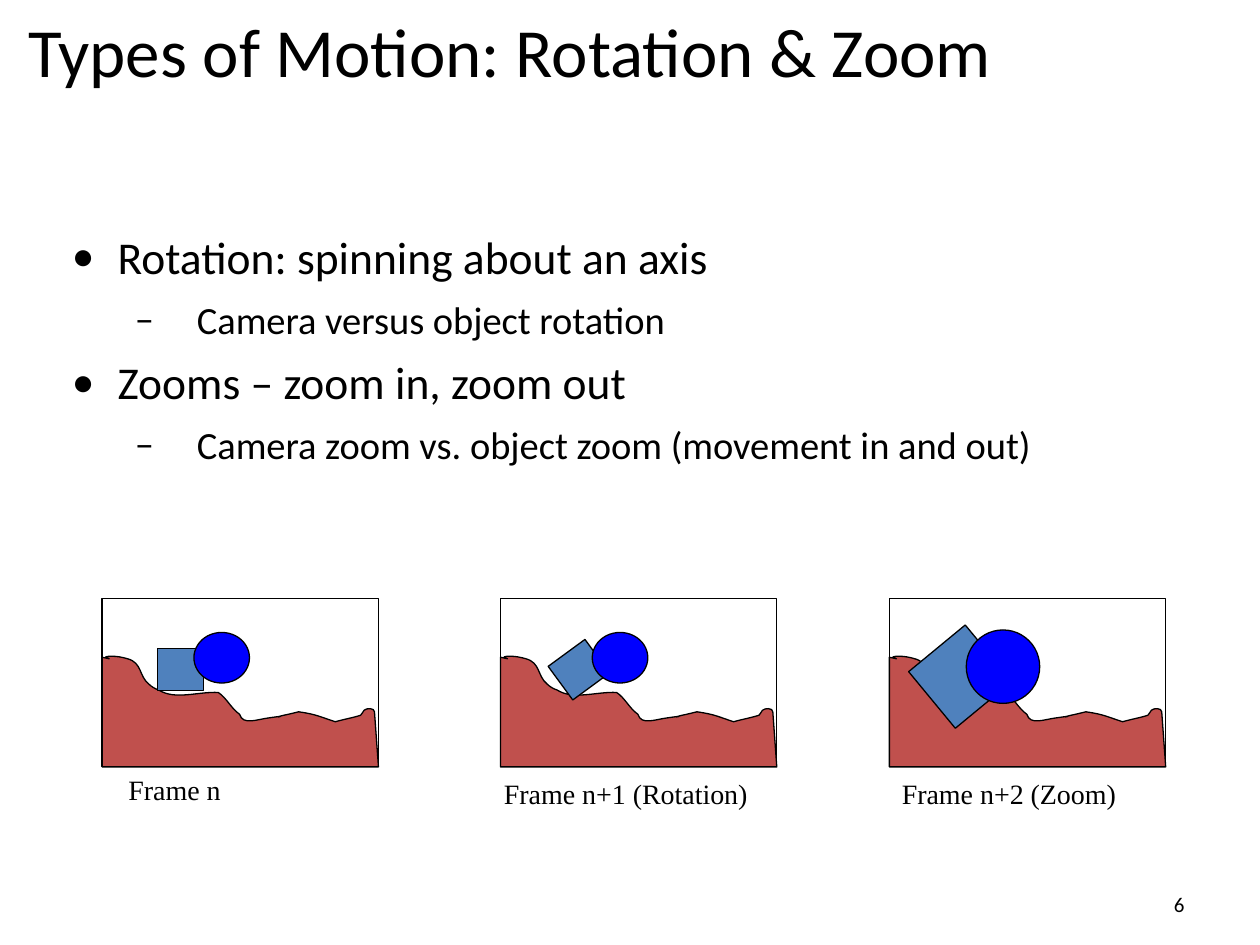
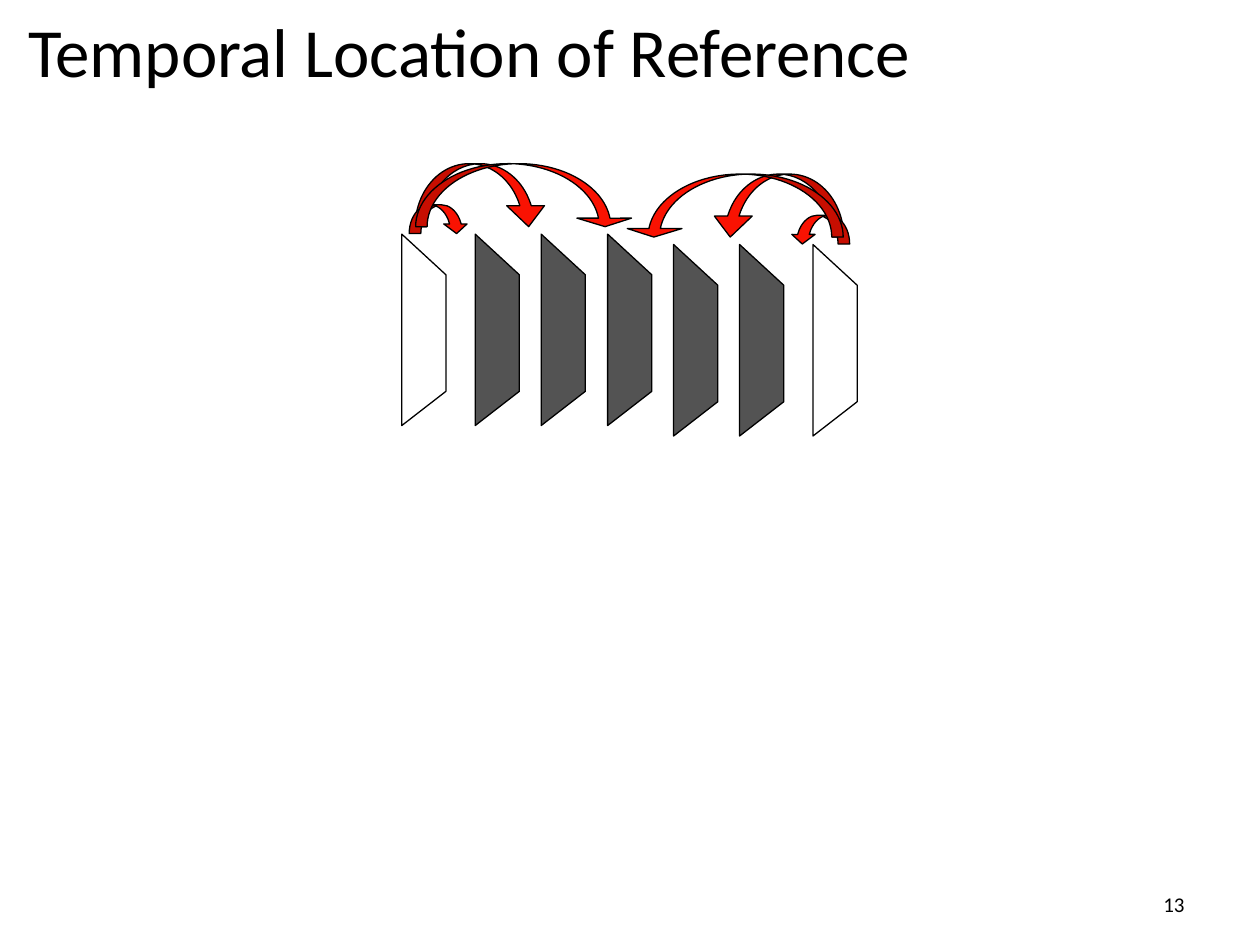
from itertools import chain

from lxml import etree
from pptx import Presentation
from pptx.dml.color import RGBColor
from pptx.enum.shapes import MSO_SHAPE
from pptx.enum.text import MSO_ANCHOR, PP_ALIGN
from pptx.oxml.ns import qn
from pptx.util import Cm, Pt

RECTANGLE, OVAL = MSO_SHAPE.RECTANGLE, MSO_SHAPE.OVAL
CURVED_ARROW = MSO_SHAPE.CURVED_DOWN_ARROW
TOP, MIDDLE, BOTTOM = MSO_ANCHOR.TOP, MSO_ANCHOR.MIDDLE, MSO_ANCHOR.BOTTOM
LEFT, RIGHT = PP_ALIGN.LEFT, PP_ALIGN.RIGHT

COLORS = {
    "text": "000000",
    "outline": "000000",
    "ground": "C0504D",
    "block": "4F81BD",
    "ball": "0000FF",
    "panel": "535353",
    "arrow": "F91202",
}
BODY_FONT, CAPTION_FONT = "Calibri", "Times New Roman"
BODY_INSET = 0.18

BULLETS = [
    (0, "Rotation: spinning about an axis"),
    (1, "Camera versus object rotation"),
    (0, "Zooms – zoom in, zoom out"),
    (1, "Camera zoom vs. object zoom (movement in and out)"),
]
BULLET_LEVELS = [("•", 26, 0.92, -0.92), ("–", 22, 2.52, -1.25)]

FRAME_WIDTH, FRAME_HEIGHT = 5.57, 3.4
FRAME_TOP = 12.06
GROUND_START = [(0, FRAME_HEIGHT), (0, 1.19)]
GROUND_CURVES = [
    ((0.38, 1.27), (-0.15, 1.17), (0.2, 1.17)),
    ((0.3, 1.17), (0.41, 1.19), (0.51, 1.22)),
    ((0.81, 1.3), (0.74, 1.57), (0.94, 1.73)),
    ((0.99, 1.78), (1.07, 1.83), (1.14, 1.85)),
    ((1.47, 2.06), (1.93, 1.88), (2.34, 1.9)),
    ((2.51, 2.01), (2.59, 2.21), (2.77, 2.34)),
    ((2.84, 2.57), (3.12, 2.44), (3.38, 2.41)),
    ((3.86, 2.34), (3.33, 2.44), (3.66, 2.36)),
    ((3.76, 2.34), (3.96, 2.29), (3.96, 2.29)),
    ((4.32, 2.34), (4.39, 2.39), (4.7, 2.49)),
    ((4.88, 2.44), (5.05, 2.41), (5.21, 2.36)),
    ((5.23, 2.34), (5.26, 2.29), (5.28, 2.26)),
    ((5.33, 2.21), (5.49, 2.21), (5.49, 2.29)),
]
GROUND_END = [(FRAME_WIDTH, FRAME_HEIGHT), (0, FRAME_HEIGHT)]

SMALL_BLOCK, SMALL_BALL = (1.12, 1.02, 0.92, 0.84), (1.85, 0.69, 1.12, 1.02)
LARGE_BLOCK, LARGE_BALL = (0.69, 0.84, 1.48, 1.48), (1.55, 0.64, 1.48, 1.48)
FRAMES = [
    (2.06, SMALL_BLOCK, 0, SMALL_BALL, "Frame n", (0.28, 3.38, 5.21, 0.99)),
    (10.09, SMALL_BLOCK, 323.8, SMALL_BALL, "Frame n+1 (Rotation)",
     (-0.18, 3.46, 5.56, 0.99)),
    (17.93, LARGE_BLOCK, 320.5, LARGE_BALL, "Frame n+2 (Zoom)",
     (0, 3.46, 5.16, 0.99)),
]

PANEL_WIDTH = 0.89
PANEL_OUTLINE = [(0, 0.46), (0, 3.86), (PANEL_WIDTH, 3.17),
                 (PANEL_WIDTH, 0.82), (0, 0), (0, 0.82)]
PANEL_OFFSETS = [0, 1.48, 2.81, 4.15]
REFERENCE_ARROWS = [
    (0.27, 1.42, 2.67, 1.27, (0.181, 0.601, 0.333)),
    (0.15, 0.59, 1.19, 0.58, (0.405, 0.809, 0.333)),
    (0.28, 1.42, 4.37, 1.27, (0.182, 0.868, 0.135)),
]


def rgb(color):
    """Return the named palette colour."""
    return RGBColor.from_string(COLORS[color])


def style_shape(shape, fill=None):
    """Give a shape the thin outline and an optional fill."""
    shape.shadow.inherit = False
    shape.line.color.rgb = rgb("outline")
    shape.line.width = Pt(0.75)
    if fill:
        shape.fill.solid()
        shape.fill.fore_color.rgb = rgb(fill)
    else:
        shape.fill.background()
    return shape


def add_outlined(slide, kind, box, fill=None):
    """Add a preset shape in a box given in centimetres."""
    return style_shape(slide.shapes.add_shape(kind, *map(Cm, box)), fill)


def add_outline(slide, left, top, points, fill=None, close=False):
    """Add a freeform whose points are relative to left and top."""
    corners = [(Cm(left + x), Cm(top + y)) for x, y in points]
    builder = slide.shapes.build_freeform(*corners[0], scale=1.0)
    builder.add_line_segments(corners[1:], close=close)
    return style_shape(builder.convert_to_shape(), fill)


def add_ground(slide, left, top):
    """Add the hilly ground, joining each three curve points into a Bézier."""
    points = GROUND_START + list(chain.from_iterable(GROUND_CURVES)) + GROUND_END
    ground = add_outline(slide, left, top, points, "ground", close=True)
    segments = list(ground.element.iter(qn("a:lnTo")))
    first = len(GROUND_START) - 1
    for start in range(first, first + 3 * len(GROUND_CURVES), 3):
        curve = etree.Element(qn("a:cubicBezTo"))
        segments[start].addprevious(curve)
        for segment in segments[start:start + 3]:
            curve.append(segment[0])
            segment.getparent().remove(segment)


def add_text_frame(slide, box, anchor=TOP, inset=None):
    """Add a wrapping text box and return its text frame."""
    frame = slide.shapes.add_textbox(*map(Cm, box)).text_frame
    frame.word_wrap = True
    frame.vertical_anchor = anchor
    if inset is not None:
        frame.margin_left = frame.margin_right = Cm(inset)
        frame.margin_top = frame.margin_bottom = Cm(inset)
    return frame


def add_run(paragraph, text, size, font=BODY_FONT, align=LEFT):
    """Add one styled run to a paragraph."""
    paragraph.alignment = align
    run = paragraph.add_run()
    run.text = text
    run.font.size = Pt(size)
    run.font.name = font
    run.font.color.rgb = rgb("text")


def add_titled_slide(deck, title, number):
    """Add a blank slide with its title and page number."""
    slide = deck.slides.add_slide(deck.slide_layouts[6])
    number_frame = add_text_frame(slide, (18.21, 17.34, 5.92, 1.27), BOTTOM)
    add_run(number_frame.paragraphs[0], number, 12, align=RIGHT)
    title_frame = add_text_frame(slide, (0.39, 0, 22.86, 2.03), MIDDLE, BODY_INSET)
    add_run(title_frame.paragraphs[0], title, 39.4)
    return slide


def add_bullets(slide, box):
    """Add the two-level list of motion types."""
    frame = add_text_frame(slide, box, inset=BODY_INSET)
    for index, (level, text) in enumerate(BULLETS):
        mark, size, margin, indent = BULLET_LEVELS[level]
        paragraph = frame.add_paragraph() if index else frame.paragraphs[0]
        paragraph.level = level
        properties = paragraph._p.get_or_add_pPr()
        properties.set("marL", str(Cm(margin)))
        properties.set("indent", str(Cm(indent)))
        etree.SubElement(properties, qn("a:buFont")).set("typeface", BODY_FONT)
        etree.SubElement(properties, qn("a:buChar")).set("char", mark)
        if index:
            paragraph.space_before = Pt(7)
        add_run(paragraph, text, size)


def add_video_frame(slide, left, top, block, angle, ball, caption, caption_box):
    """Draw one video frame with its ground, block, ball and caption."""
    def place(box):
        return left + box[0], top + box[1], box[2], box[3]

    add_outlined(slide, RECTANGLE, (left, top, FRAME_WIDTH, FRAME_HEIGHT))
    add_ground(slide, left, top)
    add_outlined(slide, RECTANGLE, place(block), "block").rotation = angle
    add_outlined(slide, OVAL, place(ball), "ball")
    caption_frame = add_text_frame(slide, place(caption_box))
    add_run(caption_frame.paragraphs[0], caption, 16, CAPTION_FONT)


def add_reference_half(slide, left, top, direction, panel_count):
    """Draw a white reference panel, its grey panels and arrows to them."""
    for index, offset in enumerate(PANEL_OFFSETS[:panel_count]):
        add_outline(slide, left + direction * offset, top, PANEL_OUTLINE,
                    "panel" if index else None)
    for inset, rise, width, height, adjustments in REFERENCE_ARROWS:
        if direction > 0:
            arrow_left = left + inset
        else:
            arrow_left = left + PANEL_WIDTH - inset - width
        arrow = add_outlined(slide, CURVED_ARROW,
                             (arrow_left, top - rise, width, height), "arrow")
        for index, value in enumerate(adjustments):
            arrow.adjustments[index] = value
        if direction < 0:
            arrow.element.spPr.find(qn("a:xfrm")).set("flipH", "1")


def build_motion_slide(deck):
    """Build the slide on rotation and zoom."""
    slide = add_titled_slide(deck, "Types of Motion: Rotation & Zoom", "6")
    add_bullets(slide, (1.27, 4.44, 22.86, 12.57))
    for left, *content in FRAMES:
        add_video_frame(slide, left, FRAME_TOP, *content)


def build_reference_slide(deck):
    """Build the slide on the temporal location of the reference."""
    slide = add_titled_slide(deck, "Temporal Location of Reference", "13")
    add_reference_half(slide, 8.1, 4.72, 1, 4)
    add_reference_half(slide, 16.39, 4.93, -1, 3)


def main():
    """Build and save the deck."""
    deck = Presentation()
    deck.slide_width, deck.slide_height = Cm(25.4), Cm(19.05)
    build_motion_slide(deck)
    build_reference_slide(deck)
    deck.save("out.pptx")


if __name__ == "__main__":
    main()
